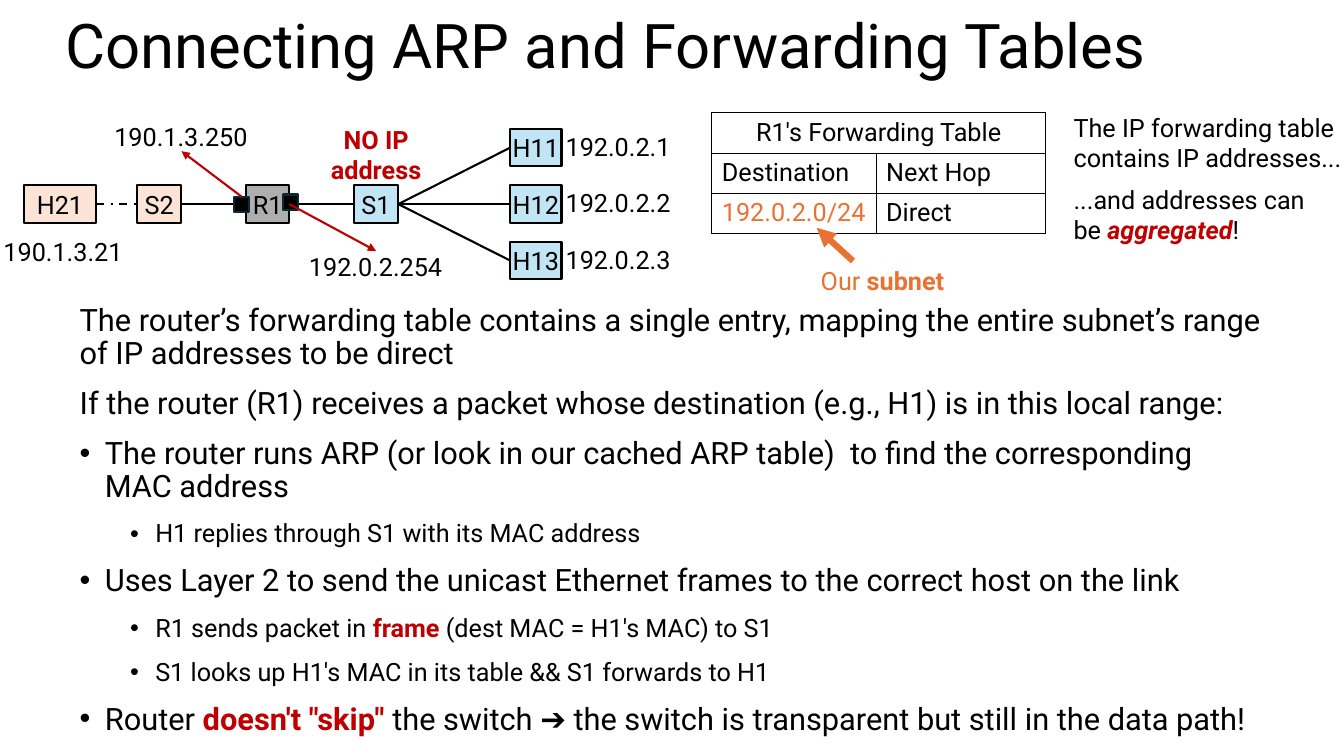
from dataclasses import dataclass

from lxml import etree
from pptx import Presentation
from pptx import util as u
from pptx.dml.color import RGBColor
from pptx.enum import dml, shapes, text
from pptx.oxml import ns

CELL = u.Inches(0.1)
COLUMNS, ROWS = 133.3, 75
FONT = "Roboto"
BLACK = RGBColor(0, 0, 0)
RED = RGBColor(0xC0, 0, 0)
ORANGE = RGBColor(0xE9, 0x71, 0x32)
BLUE = RGBColor(0xC1, 0xE5, 0xF5)
PEACH = RGBColor(0xFB, 0xE3, 0xD6)
GRAY = RGBColor(0xAE, 0xAE, 0xAE)
NAVY = RGBColor(0x09, 0x2A, 0x39)
LEFT, CENTER = text.PP_ALIGN.LEFT, text.PP_ALIGN.CENTER
TOP_SIDE, LEFT_SIDE, RIGHT_SIDE = 0, 1, 3


@dataclass(frozen=True)
class Area:
    column: float
    row: float
    width: float
    height: float

    def lengths(self) -> tuple:
        return tuple(grid(value) for value in (self.column, self.row, self.width, self.height))


@dataclass(frozen=True)
class Span:
    words: str
    color: RGBColor = BLACK
    bold: bool = False
    italic: bool = False


@dataclass(frozen=True)
class Node:
    name: str
    column: float
    row: float
    width: float
    fill: RGBColor


@dataclass(frozen=True)
class Label:
    area: Area
    spans: tuple
    inset: tuple = (0, 0)
    align: text.PP_ALIGN = CENTER


@dataclass(frozen=True)
class Link:
    start: str
    end: str
    dashed: bool = False


@dataclass(frozen=True)
class Point:
    spans: tuple
    level: int = 0
    bullet: bool = True


def grid(cells: float) -> int:
    return round(cells * CELL)


def write(para, spans: tuple, size: float = 18, align=LEFT) -> None:
    para.alignment = align
    for span in spans:
        run = para.add_run()
        run.text = span.words
        run.font.name, run.font.size = FONT, u.Pt(size)
        run.font.color.rgb = span.color
        run.font.bold, run.font.italic = span.bold, span.italic


def set_frame(frame, inset: tuple, anchor=text.MSO_ANCHOR.TOP) -> None:
    frame.word_wrap = True
    frame.auto_size = text.MSO_AUTO_SIZE.NONE
    frame.vertical_anchor = anchor
    frame.margin_left = frame.margin_right = grid(inset[0])
    frame.margin_top = frame.margin_bottom = grid(inset[1])


def place(box, area: Area) -> None:
    box.left, box.top, box.width, box.height = area.lengths()


def add_box(page, area: Area, fill: RGBColor, outline: RGBColor = BLACK):
    box = page.shapes.add_shape(shapes.MSO_SHAPE.RECTANGLE, *area.lengths())
    box.shadow.inherit = False
    box.fill.solid()
    box.fill.fore_color.rgb = fill
    box.line.color.rgb = outline
    box.line.width = u.Pt(1.5)
    return box


def add_node(page, node: Node):
    box = add_box(page, Area(node.column, node.row, node.width, 3.7), node.fill)
    set_frame(box.text_frame, (0, 0), text.MSO_ANCHOR.MIDDLE)
    write(box.text_frame.paragraphs[0], (Span(node.name),), align=CENTER)
    return box


def add_label(page, label: Label) -> None:
    box = page.shapes.add_textbox(*label.area.lengths())
    set_frame(box.text_frame, label.inset)
    write(box.text_frame.paragraphs[0], label.spans, align=label.align)


def add_line(page, start: tuple = (0, 0), end: tuple = (0, 0), color: RGBColor = BLACK,
             width: float = 1.5, arrow: bool = False, dashed: bool = False):
    line = page.shapes.add_connector(shapes.MSO_CONNECTOR.STRAIGHT, *map(grid, start + end))
    line.line.color.rgb = color
    line.line.width = u.Pt(width)
    if dashed:
        line.line.dash_style = dml.MSO_LINE.DASH_DOT
    properties = line._element.spPr
    if arrow:
        etree.SubElement(properties.find(ns.qn("a:ln")), ns.qn("a:tailEnd"), type="triangle")
    etree.SubElement(properties, ns.qn("a:effectLst"))
    return line


def add_point(para, point: Point) -> None:
    para.level = point.level
    para.line_spacing = 0.9
    para.space_before = para.space_after = u.Pt(6)
    write(para, point.spans, 18 if point.level else 22)
    properties = para._p.get_or_add_pPr()
    properties.set("marL", str(grid(2.5 + 5 * point.level if point.bullet else 0)))
    properties.set("indent", str(grid(-2.5 if point.bullet else 0)))
    if point.bullet:
        etree.SubElement(properties, ns.qn("a:buFont"), typeface="Arial")
        etree.SubElement(properties, ns.qn("a:buChar"), char="•")
    else:
        etree.SubElement(properties, ns.qn("a:buNone"))


def set_borders(cell) -> None:
    properties = cell._tc.get_or_add_tcPr()
    for side in ("lnL", "lnR", "lnT", "lnB"):
        border = etree.SubElement(properties, ns.qn(f"a:{side}"), w=str(u.Pt(1)))
        fill = etree.SubElement(border, ns.qn("a:solidFill"))
        etree.SubElement(fill, ns.qn("a:srgbClr"), val=str(BLACK))


def add_forwarding_table(page, area: Area, widths: tuple, rows: tuple) -> None:
    table = page.shapes.add_table(len(rows), len(widths), *area.lengths()).table
    table.first_row = table.horz_banding = False
    for column, width in zip(table.columns, widths):
        column.width = grid(width)
    for row, spans in enumerate(rows):
        table.rows[row].height = grid(area.height / len(rows))
        for column in range(len(widths)):
            cell = table.cell(row, column)
            set_borders(cell)
            cell.fill.background()
            if column < len(spans):
                write(cell.text_frame.paragraphs[0], (spans[column],),
                      align=CENTER if len(spans) == 1 else LEFT)
    table.cell(0, 0).merge(table.cell(0, len(widths) - 1))


HOST_ROWS = [12.8 + 5.6 * index for index in range(3)]
NODES = [
    Node("H21", 2.4, 18.4, 7.1, PEACH),
    Node("S2", 13.6, 18.4, 4.4, PEACH),
    Node("R1", 24.4, 18.4, 4.3, GRAY),
    Node("S1", 35.1, 18.4, 4.4, BLUE),
    *(Node(f"H1{number}", 50.6, row, 5.1, BLUE) for number, row in enumerate(HOST_ROWS, 1)),
]
LINKS = [Link("H21", "S2", True), Link("S2", "R1"), Link("R1", "S1"),
         *(Link("S1", f"H1{number}") for number in (1, 2, 3))]
LABELS = [
    Label(Area(-1.1, 23.4, 14.7, 3), (Span("190.1.3.21"),)),
    Label(Area(10.6, 12, 14.7, 3), (Span("190.1.3.250"),)),
    Label(Area(29.9, 24.9, 14.7, 3), (Span("192.0.2.254"),)),
    *(Label(Area(55.2, row + 0.2, 12.2, 3), (Span(f"192.0.2.{number}"),))
      for number, row in enumerate(HOST_ROWS, 1)),
    Label(Area(31.4, 11.8, 11.8, 7.1), (Span("NO IP address", RED, True),), (1, 0.5)),
    Label(Area(105.5, 10.1, 28.8, 8.1),
          (Span("The IP forwarding table contains IP addresses..."),), (1, 1), LEFT),
    Label(Area(105.5, 17.3, 26.3, 8.1),
          (Span("...and addresses can be "), Span("aggregated", RED, True, True), Span("!")),
          (1, 1), LEFT),
    Label(Area(81.1, 26, 16.8, 3.6),
          (Span("Our ", ORANGE), Span("subnet", ORANGE, True)), (0.3, 0.3), LEFT),
]
TABLE_ROWS = (
    (Span("R1's Forwarding Table"),),
    (Span("Destination"), Span("Next Hop")),
    (Span("192.0.2.0/24", ORANGE), Span("Direct")),
)
POINTS = [
    Point((Span("The router’s forwarding table contains a single entry, mapping the entire "
                "subnet’s range of IP addresses to be direct"),), bullet=False),
    Point((Span("If the router (R1) receives a packet whose destination (e.g., H1) is in this "
                "local range:"),), bullet=False),
    Point((Span("The router runs ARP (or look in our cached ARP table)  to find the "
                "corresponding MAC address"),)),
    Point((Span("H1 replies through S1 with its MAC address"),), 1),
    Point((Span("Uses Layer 2 to send the unicast Ethernet frames to the correct host on the "
                "link"),)),
    Point((Span("R1 sends packet in "), Span("frame", RED, True),
           Span(" (dest MAC = H1's MAC) to S1")), 1),
    Point((Span("S1 looks up H1's MAC in its table && S1 forwards to H1"),), 1),
    Point((Span("Router "), Span("doesn't \"skip\" ", RED, True),
           Span("the switch ➔ the switch is transparent but still in the data path!"))),
]


def main() -> None:
    deck = Presentation()
    deck.slide_width, deck.slide_height = grid(COLUMNS), grid(ROWS)
    page = deck.slides.add_slide(deck.slide_layouts[1])
    title, body = page.placeholders
    place(title, Area(5.5, 0.8, 122.3, 8.1))
    set_frame(title.text_frame, (1, 0.5), text.MSO_ANCHOR.MIDDLE)
    heading = title.text_frame.paragraphs[0]
    heading.line_spacing = 0.9
    write(heading, (Span("Connecting ARP and Forwarding Tables"),), 44)
    place(body, Area(6.9, 29.2, 119.5, 45.8))
    set_frame(body.text_frame, (1, 1))
    for index, point in enumerate(POINTS):
        frame = body.text_frame
        add_point(frame.add_paragraph() if index else frame.paragraphs[0], point)

    boxes = {node.name: add_node(page, node) for node in NODES}
    for link in LINKS:
        line = add_line(page, dashed=link.dashed)
        line.begin_connect(boxes[link.start], RIGHT_SIDE)
        line.end_connect(boxes[link.end], LEFT_SIDE)
    west_port, _ = [add_box(page, Area(column, row, 1.5, 1.5), BLACK, NAVY)
                    for column, row in ((23.2, 19.5), (28.1, 19.3))]
    for source, side, tip in ((west_port, TOP_SIDE, (18, 15)),
                              (boxes["R1"], RIGHT_SIDE, (37.3, 24.9))):
        add_line(page, end=tip, color=RED, arrow=True).begin_connect(source, side)
    add_forwarding_table(page, Area(70.6, 11.2, 33.1, 12), (16.3, 16.8), TABLE_ROWS)
    add_line(page, (84.6, 25.9), (81, 22.6), ORANGE, 4.5, arrow=True)
    for label in LABELS:
        add_label(page, label)
    deck.save("out.pptx")


if __name__ == "__main__":
    main()
